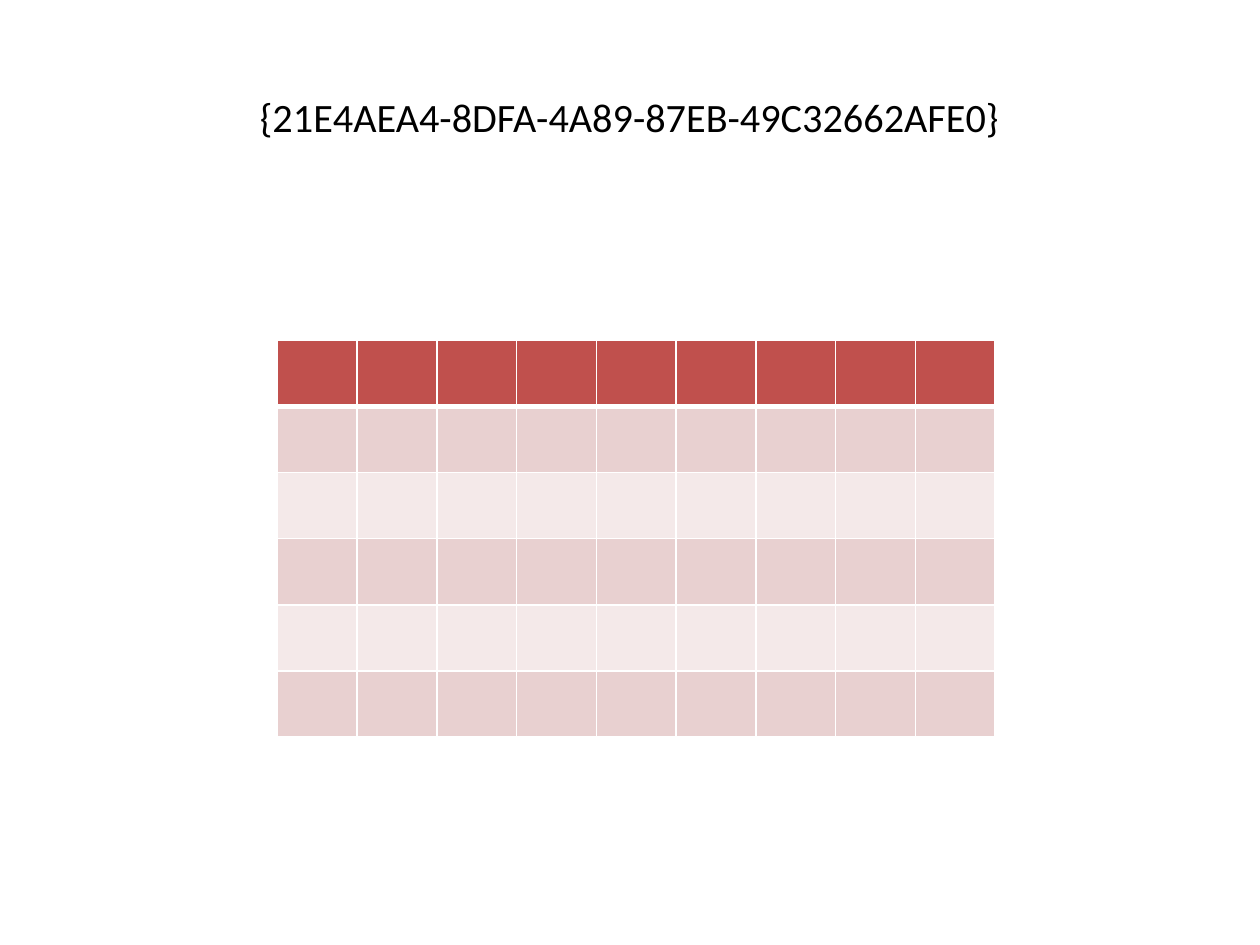
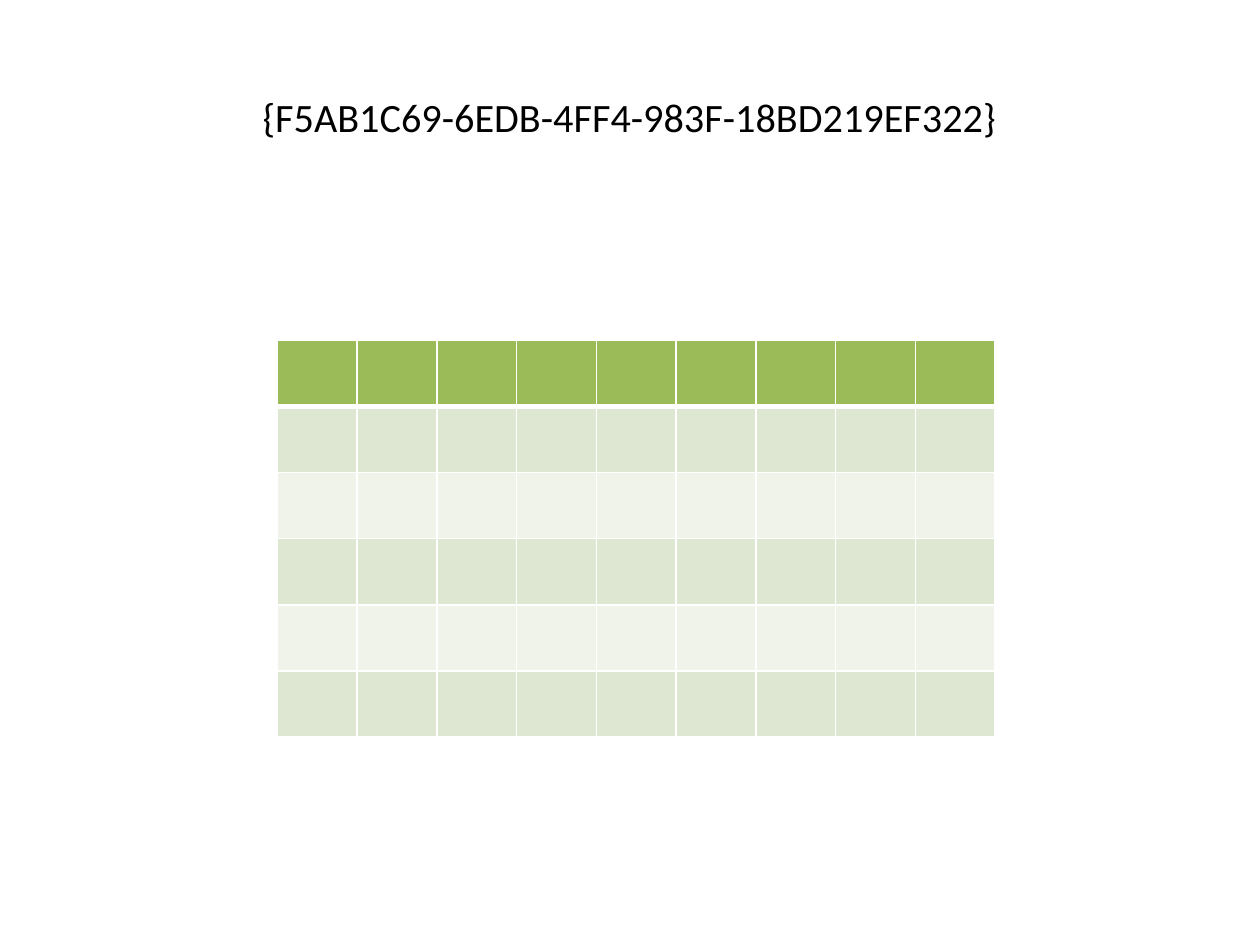
from dataclasses import dataclass

from lxml import etree
from pptx import Presentation
from pptx import util as u
from pptx.dml.color import RGBColor
from pptx.enum import text
from pptx.oxml import ns

# Shared look
FONT = "Calibri"
BLACK, WHITE = "000000", "FFFFFF"
ROWS, COLS = 6, 9
THIN, THICK = 1, 3


@dataclass
class StyleSample:
    """A table style: its identifier and its three fills."""
    style_id: str
    header: str
    odd_band: str
    even_band: str

    def row_fill(self, row: int) -> str:
        if row == 0:
            return self.header
        return self.odd_band if row % 2 else self.even_band


SAMPLES = [
    StyleSample("{21E4AEA4-8DFA-4A89-87EB-49C32662AFE0}", "C0504D", "E8D0D0", "F4E9E9"),
    StyleSample("{F5AB1C69-6EDB-4FF4-983F-18BD219EF322}", "9BBB59", "DEE7D1", "EFF3EA"),
]


def color(value: str) -> RGBColor:
    return RGBColor.from_string(value)


def add_title(s, title: str) -> None:
    sp = s.shapes.add_textbox(u.Cm(1.27), u.Cm(0.76), u.Cm(22.86), u.Cm(3.18))
    tf = sp.text_frame
    tf.word_wrap = True
    tf.vertical_anchor = text.MSO_ANCHOR.MIDDLE
    p = tf.paragraphs[0]
    p.text = title
    p.alignment = text.PP_ALIGN.CENTER
    p.font.name, p.font.size = FONT, u.Pt(23)
    p.font.color.rgb = color(BLACK)


def set_borders(cell, bottom: int) -> None:
    """Draw white lines on the four sides of a cell."""
    props = cell._tc.get_or_add_tcPr()
    for side in "LRTB":
        width = bottom if side == "B" else THIN
        line = etree.SubElement(props, ns.qn(f"a:ln{side}"), w=str(u.Pt(width)))
        fill = etree.SubElement(line, ns.qn("a:solidFill"))
        etree.SubElement(fill, ns.qn("a:srgbClr"), val=WHITE)


def add_sample_table(s, sample: StyleSample) -> None:
    frame = s.shapes.add_table(ROWS, COLS, u.Cm(5.59), u.Cm(6.86), u.Cm(14.48), u.Cm(8))
    for row_no, row in enumerate(frame.table.rows):
        for cell in row.cells:
            set_borders(cell, THIN if row_no else THICK)
            cell.fill.solid()
            cell.fill.fore_color.rgb = color(sample.row_fill(row_no))


# Build the deck
prs = Presentation()
prs.slide_width, prs.slide_height = u.Cm(25.4), u.Cm(19.05)
blank = prs.slide_layouts[6]
for sample in SAMPLES:
    s = prs.slides.add_slide(blank)
    add_title(s, sample.style_id)
    add_sample_table(s, sample)
prs.save("out.pptx")
